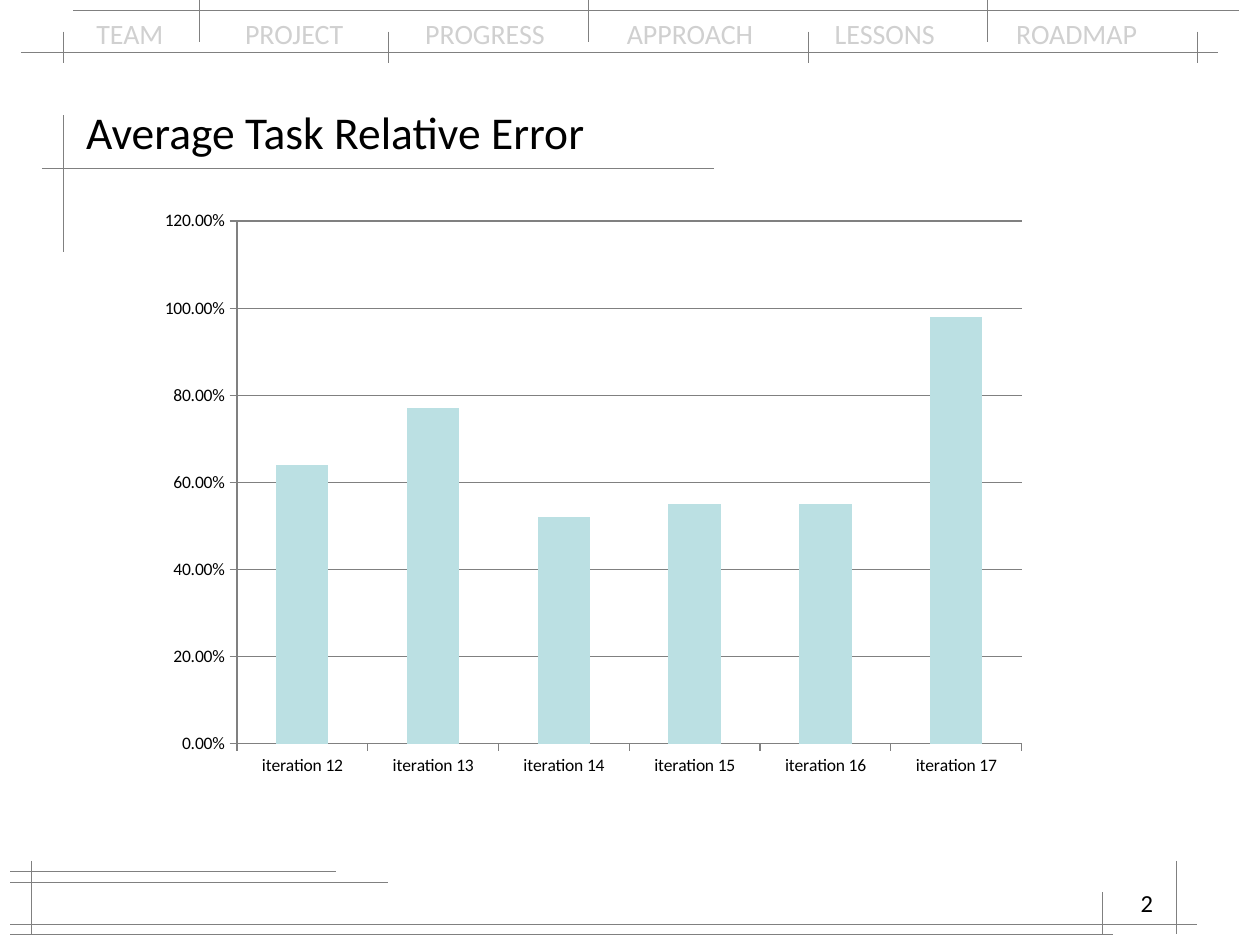
from lxml.etree import SubElement
from pptx import Presentation
from pptx.chart.data import CategoryChartData
from pptx.dml.color import RGBColor
from pptx.enum.chart import XL_CHART_TYPE, XL_TICK_MARK
from pptx.enum.shapes import MSO_CONNECTOR
from pptx.enum.text import MSO_ANCHOR, PP_ALIGN
from pptx.oxml.ns import qn
from pptx.util import Inches, Pt

BLACK = RGBColor(0x00, 0x00, 0x00)
RULE_GRAY = RGBColor(0x80, 0x80, 0x80)
NAV_GRAY = RGBColor(0xD0, 0xD0, 0xD0)
BAR_TEAL = RGBColor(0xBB, 0xE0, 0xE3)

# Grid of twelve units to the inch: 120 columns by 90 rows
UNIT = Inches(1) // 12

# Section names and their tab stops in inches from the text's left edge
SECTIONS = ["TEAM", "PROJECT", "PROGRESS", "APPROACH", "LESSONS", "ROADMAP"]
SECTION_TABS = [1.18, 2.61, 4.21, 5.86, 7.3]

# (row, first column, last column)
HORIZONTAL_RULES = [
    (5, 2, 116), (1, 7, 118), (16, 4, 68), (84, 1, 37),
    (88, 1, 114), (83, 1, 32), (89, 1, 106),
]
# (first row, last row, columns)
VERTICAL_RULES = [
    (11, 24, [6]), (82, 89, [3, 112]), (85, 89, [105]),
    (3, 6, [6, 37, 77, 114]), (-3, 4, [19, 56, 94]),
]

ERRORS = {
    "iteration 12": 0.64, "iteration 13": 0.77, "iteration 14": 0.52,
    "iteration 15": 0.55, "iteration 16": 0.55, "iteration 17": 0.98,
}


class Deck:
    font = "Calibri"

    def __init__(self):
        self.prs = Presentation()
        self.prs.slide_width, self.prs.slide_height = 120 * UNIT, 90 * UNIT
        self.s = self.prs.slides.add_slide(self.prs.slide_layouts[5])

    def box(self, *cells):
        return [int(n * UNIT) for n in cells]

    def run(self, p, text, size, color):
        r = p.add_run()
        r.text = text
        r.font.name, r.font.size = self.font, Pt(size)
        r.font.color.rgb = color

    def title(self, text, *cells):
        sp = self.s.shapes.title
        sp.left, sp.top, sp.width, sp.height = self.box(*cells)
        tf = sp.text_frame
        tf.vertical_anchor = MSO_ANCHOR.MIDDLE
        p = tf.paragraphs[0]
        p.alignment = PP_ALIGN.LEFT
        self.run(p, text, 26, BLACK)

    def text(self, text, size, color, *cells, align=PP_ALIGN.LEFT, tabs=()):
        tf = self.s.shapes.add_textbox(*self.box(*cells)).text_frame
        tf.word_wrap = True
        p = tf.paragraphs[0]
        p.alignment = align
        if tabs:
            tab_list = SubElement(p._p.get_or_add_pPr(), qn("a:tabLst"))
            for stop in tabs:
                SubElement(tab_list, qn("a:tab"), pos=str(Inches(stop)), algn="l")
        self.run(p, text, size, color)

    def rule(self, *ends):
        line = self.s.shapes.add_connector(MSO_CONNECTOR.STRAIGHT, *self.box(*ends))
        line.line.color.rgb, line.line.width = RULE_GRAY, Pt(0.3)
        SubElement(line._element.spPr, qn("a:effectLst"))

    def column_chart(self, values, *cells):
        data = CategoryChartData(number_format="0.00%")
        data.categories = list(values)
        data.add_series("Series 1", list(values.values()))
        chart = self.s.shapes.add_chart(
            XL_CHART_TYPE.COLUMN_CLUSTERED, *self.box(*cells), data).chart
        chart.has_legend = chart.has_title = False
        chart.font.name, chart.font.size = self.font, Pt(10)
        chart.font.color.rgb = BLACK

        plot = chart.plots[0]
        plot.gap_width, plot.vary_by_categories = 150, False
        fill = plot.series[0].format.fill
        fill.solid()
        fill.fore_color.rgb = BAR_TEAL

        val = chart.value_axis
        val.minimum_scale, val.maximum_scale, val.major_unit = 0, 1.2, 0.2
        val.tick_labels.number_format = "0.00%"
        val.tick_labels.number_format_is_linked = False
        val.has_major_gridlines = True
        for axis in (chart.category_axis, val):
            axis.major_tick_mark = XL_TICK_MARK.OUTSIDE
            axis.minor_tick_mark = XL_TICK_MARK.NONE
        for part in (chart.category_axis, val, val.major_gridlines):
            part.format.line.color.rgb = RULE_GRAY
            part.format.line.width = Pt(0.75)


def main():
    deck = Deck()
    deck.text("\t".join(SECTIONS), 16, NAV_GRAY, 8, 1, 104, 4.5, tabs=SECTION_TABS)
    for row, first, last in HORIZONTAL_RULES:
        deck.rule(first, row, last, row)
    for first, last, columns in VERTICAL_RULES:
        for column in columns:
            deck.rule(column, first, column, last)
    deck.title("Average Task Relative Error", 7, 9, 106, 7)
    deck.text("2", 14, BLACK, 86, 84, 25, 6, align=PP_ALIGN.RIGHT)
    deck.column_chart(ERRORS, 14, 19, 85, 56)
    deck.prs.save("out.pptx")


if __name__ == "__main__":
    main()
